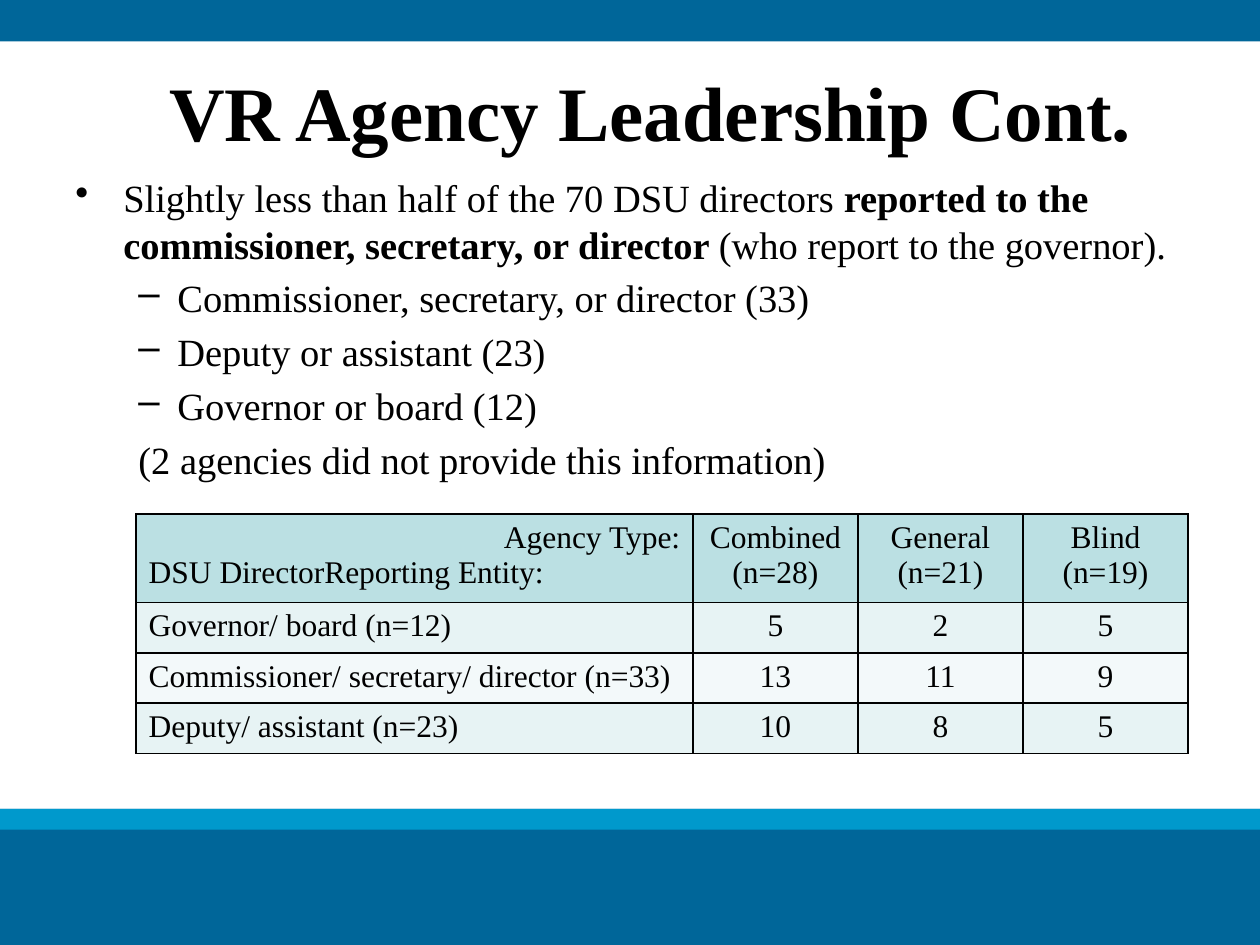
from pptx import Presentation
from pptx.dml.color import RGBColor
from pptx.enum.shapes import MSO_SHAPE
from pptx.enum.text import MSO_ANCHOR, PP_ALIGN as Align
from pptx.oxml.xmlchemy import OxmlElement as Element
from pptx.util import Inches, Pt

COLORS = {"navy": "006699", "sky": "0099CC", "ink": "000000",
          "header": "BBE0E3", "odd": "E7F3F4", "even": "F3F9FA"}
WIDTH, HEIGHT = 10, 7.5
BULLETS = [
    (0, "•", [("Slightly less than half of the 70 DSU directors ", False),
              ("reported to the commissioner, secretary, or director ", True),
              ("(who report to the governor).", False)]),
    (1, "–", [("Commissioner, secretary, or director (33)", False)]),
    (1, "–", [("Deputy or assistant (23)", False)]),
    (1, "–", [("Governor or board (12)", False)]),
    (1, None, [("(2 agencies did not provide this information)", False)]),
]
INDENTS = [(0.38, -0.38), (0.81, -0.31)]
TABLE = [
    ["Agency Type:\nDSU DirectorReporting Entity:", "Combined (n=28)",
     "General\n(n=21)", "Blind\n(n=19)"],
    ["Governor/ board (n=12)", "5", "2", "5"],
    ["Commissioner/ secretary/ director (n=33)", "13", "11", "9"],
    ["Deputy/ assistant (n=23)", "10", "8", "5"],
]


class SlideBuilder:
    """Holds the text style and the current slide, and adds elements to it."""

    def __init__(self, slide, font="Times New Roman"):
        self.slide = slide
        self.font = font

    def box(self, left, top, width, height):
        return [Inches(value) for value in
                (left * WIDTH, top * HEIGHT, width * WIDTH, height * HEIGHT)]

    def style(self, font, size, bold=False):
        for name, value in {"name": self.font, "size": Pt(size), "bold": bold}.items():
            setattr(font, name, value)
        font.color.rgb = RGBColor.from_string(COLORS["ink"])

    def band(self, top, height, color):
        shape = self.slide.shapes.add_shape(MSO_SHAPE.RECTANGLE, *self.box(0, top, 1, height))
        shape.shadow.inherit = False
        shape.fill.solid()
        shape.fill.fore_color.rgb = RGBColor.from_string(COLORS[color])
        shape.line.fill.background()

    def text_frame(self, box, anchor=MSO_ANCHOR.TOP):
        frame = self.slide.shapes.add_textbox(*self.box(*box)).text_frame
        frame.word_wrap = True
        frame.vertical_anchor = anchor
        return frame

    def title(self, text, box):
        paragraph = self.text_frame(box, MSO_ANCHOR.MIDDLE).paragraphs[0]
        paragraph.text = text
        paragraph.alignment = Align.CENTER
        self.style(paragraph.runs[0].font, 44, True)

    def bullets(self, items, box, size):
        frame = self.text_frame(box)
        for index, (level, bullet, runs) in enumerate(items):
            paragraph = frame.add_paragraph() if index else frame.paragraphs[0]
            paragraph.level = level
            properties = paragraph._p.get_or_add_pPr()
            for name, value in zip(("marL", "indent"), INDENTS[level]):
                properties.set(name, str(Inches(value)))
            mark = Element("a:buChar" if bullet else "a:buNone")
            if bullet:
                mark.set("char", bullet)
            properties.append(mark)
            paragraph.space_before = Pt(0.2 * size if index else 0)
            for text, bold in runs:
                run = paragraph.add_run()
                run.text = text
                self.style(run.font, size, bold)

    def cell_borders(self, cell):
        properties = cell._tc.get_or_add_tcPr()
        for position, side in enumerate(("a:lnL", "a:lnR", "a:lnT", "a:lnB")):
            line = Element(side)
            line.set("w", str(Pt(1)))
            fill = Element("a:solidFill")
            color = Element("a:srgbClr")
            color.set("val", COLORS["ink"])
            fill.append(color)
            line.append(fill)
            properties.insert(position, line)

    def table(self, rows, box, columns, heights, size):
        shape = self.slide.shapes.add_table(len(rows), len(columns), *self.box(*box))
        table = shape.table
        for column, width in zip(table.columns, columns):
            column.width = Inches(width)
        for row, height in zip(table.rows, heights):
            row.height = Inches(height)
        for i, texts in enumerate(rows):
            fill = "header" if i == 0 else "odd" if i % 2 else "even"
            for j, text in enumerate(texts):
                cell = table.cell(i, j)
                cell.text = text
                cell.fill.solid()
                cell.fill.fore_color.rgb = RGBColor.from_string(COLORS[fill])
                self.cell_borders(cell)
                for paragraph in cell.text_frame.paragraphs:
                    paragraph.alignment = Align.CENTER if j else Align.LEFT
                    self.style(paragraph.runs[0].font, size)
        table.cell(0, 0).text_frame.paragraphs[0].alignment = Align.RIGHT


def main():
    presentation = Presentation()
    presentation.slide_width, presentation.slide_height = Inches(WIDTH), Inches(HEIGHT)
    builder = SlideBuilder(presentation.slides.add_slide(presentation.slide_layouts[6]))
    builder.band(0.856, 0.144, "navy")
    builder.band(0.856, 0.022, "sky")
    builder.band(0, 0.044, "navy")
    builder.title("VR Agency Leadership Cont.", (0.075, 0.067, 0.883, 0.1))
    builder.bullets(BULLETS, (0.05, 0.178, 0.908, 0.622), 22)
    builder.table(TABLE, (0.108, 0.544, 0.833, 0.241),
                  [4.42] + [1.31] * 3, [0.66, 0.37, 0.4, 0.37], 18)
    presentation.save("out.pptx")


if __name__ == "__main__":
    main()
